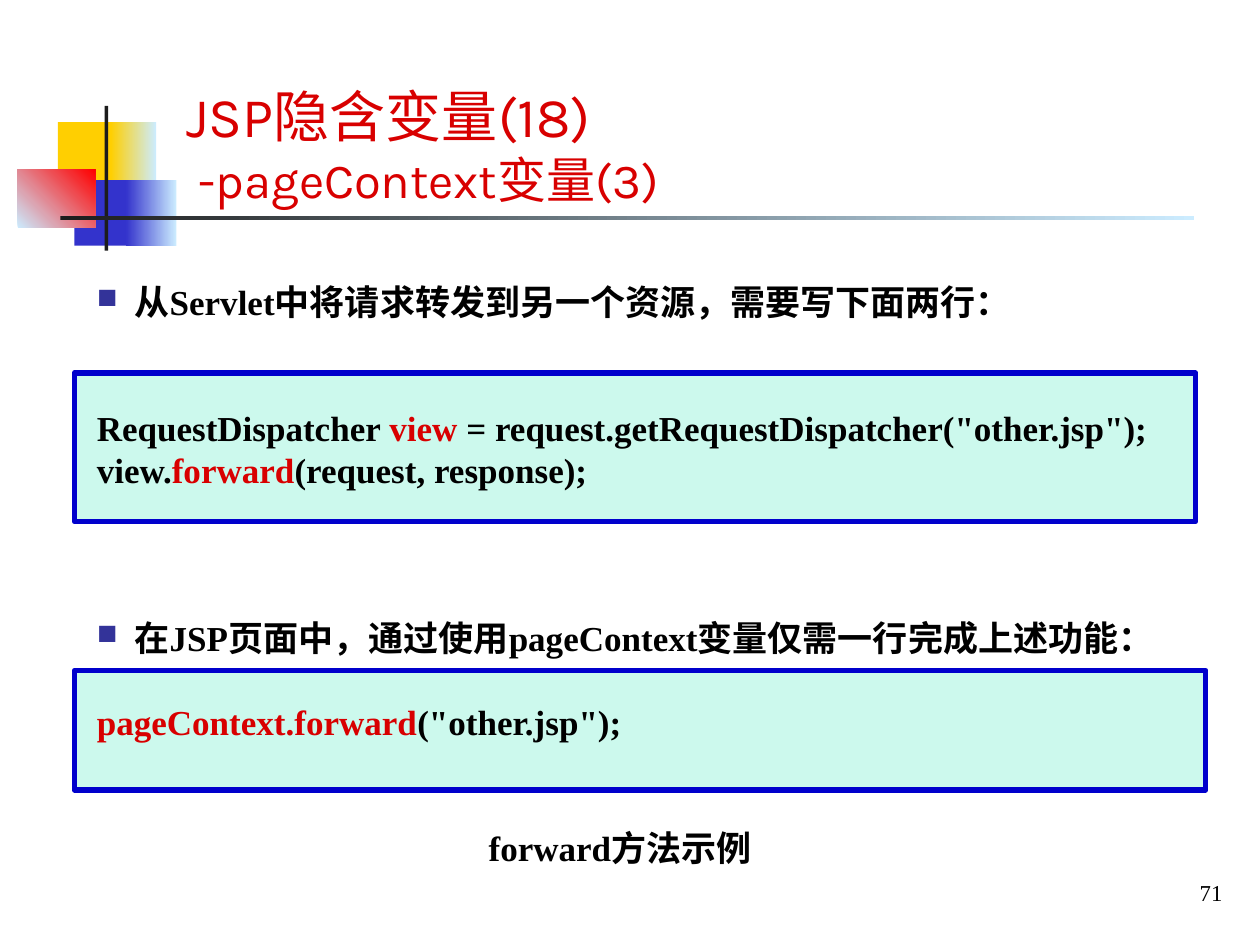
from lxml import etree
from pptx import Presentation, util as u
from pptx.dml.color import RGBColor
from pptx.enum import shapes, text
from pptx.oxml.ns import qn

presentation = Presentation()
presentation.slide_width, presentation.slide_height = u.Inches(10), u.Inches(7.5)
slide = presentation.slides.add_slide(presentation.slide_layouts[6])

# Grid of 100 columns by 75 rows
COLUMN = presentation.slide_width / 100
ROW = presentation.slide_height / 75

color = RGBColor.from_string
RED, BLACK, ICE, GOLD, BLUE, CHARCOAL = (
    "D80000", "000000", "CCECFF", "FFCF01", "3333CC", "1C1C1C")
SERIF = {"name": "Times New Roman", "size": u.Pt(20), "bold": True}


def grid(left, top, width, height):
    """Turn columns and rows into slide lengths."""
    return int(left * COLUMN), int(top * ROW), int(width * COLUMN), int(height * ROW)


def write(paragraph, runs, font):
    """Add (words, colour) runs that share one font format."""
    for words, run_color in runs:
        run = paragraph.add_run()
        run.text = words
        for name, value in font.items():
            setattr(run.font, name, value)
        run.font.color.rgb = color(run_color)


# Corner ornament and title rule: cell, colours, gradient angle
ornaments = [
    ((4.6, 9.7, 4.8, 5.2), [GOLD], 0),
    ((8.8, 9.7, 3.6, 5.2), [GOLD, ICE], 0),
    ((5.9, 14.3, 4.6, 5.2), [BLUE], 0),
    ((10, 14.3, 4, 5.2), [BLUE, ICE], 0),
    ((1.4, 13.45, 6.15, 4.65), [ICE, "FF0000"], 45),
    ((8.3, 8.4, 0.3, 11.5), [CHARCOAL], 0),
    ((4.8, 17.15, 90, 0.3), [CHARCOAL, ICE], 0),
]
for cell, colors, angle in ornaments:
    shape = slide.shapes.add_shape(shapes.MSO_SHAPE.RECTANGLE, *grid(*cell))
    shape.shadow.inherit = False
    shape.line.fill.background()
    if len(colors) == 1:
        shape.fill.solid()
        shape.fill.fore_color.rgb = color(colors[0])
    else:
        shape.fill.gradient()
        shape.fill.gradient_angle = angle
        for stop, stop_color in zip(shape.fill.gradient_stops, colors):
            stop.color.rgb = color(stop_color)

# Code panels
for cell in [(5.9, 53.2, 89.8, 9.5), (5.9, 29.6, 89, 11.8)]:
    panel = slide.shapes.add_shape(shapes.MSO_SHAPE.RECTANGLE, *grid(*cell))
    panel.shadow.inherit = False
    panel.fill.solid()
    panel.fill.fore_color.rgb = color("00E4A8")
    tint = panel.fill._xPr.find(".//" + qn("a:srgbClr"))
    etree.SubElement(tint, qn("a:alpha"), val="20000")
    panel.line.color.rgb = color("0000CC")
    panel.line.width = u.Pt(3)

# Title
frame = slide.shapes.add_textbox(*grid(13.8, 5.2, 73.2, 11.8)).text_frame
frame.word_wrap = True
frame.vertical_anchor = text.MSO_ANCHOR.BOTTOM
write(frame.paragraphs[0], [("JSP隐含变量(18)", RED)],
      {"name": "Karla", "size": u.Pt(32)})
subtitle = frame.add_paragraph()
subtitle._p.get_or_add_pPr().set("marL", str(int(COLUMN)))
write(subtitle, [("-pageContext变量(3)", RED)], {"name": "Karla", "size": u.Pt(28)})

# Body: lines skipped before, bulleted, runs
LINE = 24
body = [
    (0, True, [("从Servlet中将请求转发到另一个资源，需要写下面两行：", BLACK)]),
    (2, False, [("RequestDispatcher ", BLACK), ("view", RED),
                (' = request.getRequestDispatcher("other.jsp");', BLACK)]),
    (0, False, [("view.", BLACK), ("forward", RED), ("(request, response);", BLACK)]),
    (3, True, [("在JSP页面中，通过使用pageContext变量仅需一行完成上述功能：", BLACK)]),
    (1, False, [("pageContext.forward", RED), ('("other.jsp");', BLACK)]),
]
frame = slide.shapes.add_textbox(*grid(6.7, 21.8, 89.8, 41)).text_frame
frame.word_wrap = True
for index, (skipped, bulleted, runs) in enumerate(body):
    paragraph = frame.add_paragraph() if index else frame.paragraphs[0]
    paragraph.line_spacing = u.Pt(LINE)
    paragraph.space_before = u.Pt(LINE * skipped)
    if bulleted:
        properties = paragraph._p.get_or_add_pPr()
        properties.set("marL", str(int(3 * COLUMN)))
        properties.set("indent", str(int(-3 * COLUMN)))
        bullet_color = etree.SubElement(properties, qn("a:buClr"))
        etree.SubElement(bullet_color, qn("a:srgbClr"), val="333399")
        etree.SubElement(properties, qn("a:buSzPct"), val="80000")
        etree.SubElement(properties, qn("a:buChar"), char="■")
    write(paragraph, runs, SERIF)

# Caption and page number
labels = [
    ((37.8, 65.1, 23.6, 4.3), "forward方法示例", SERIF,
     text.PP_ALIGN.LEFT, text.MSO_ANCHOR.TOP),
    ((78.9, 69, 19.1, 3.7), "71", {"name": "Times New Roman", "size": u.Pt(13)},
     text.PP_ALIGN.RIGHT, text.MSO_ANCHOR.MIDDLE),
]
for cell, words, font, alignment, anchor in labels:
    frame = slide.shapes.add_textbox(*grid(*cell)).text_frame
    frame.word_wrap = False
    frame.vertical_anchor = anchor
    frame.paragraphs[0].alignment = alignment
    write(frame.paragraphs[0], [(words, BLACK)], font)

presentation.save("out.pptx")
